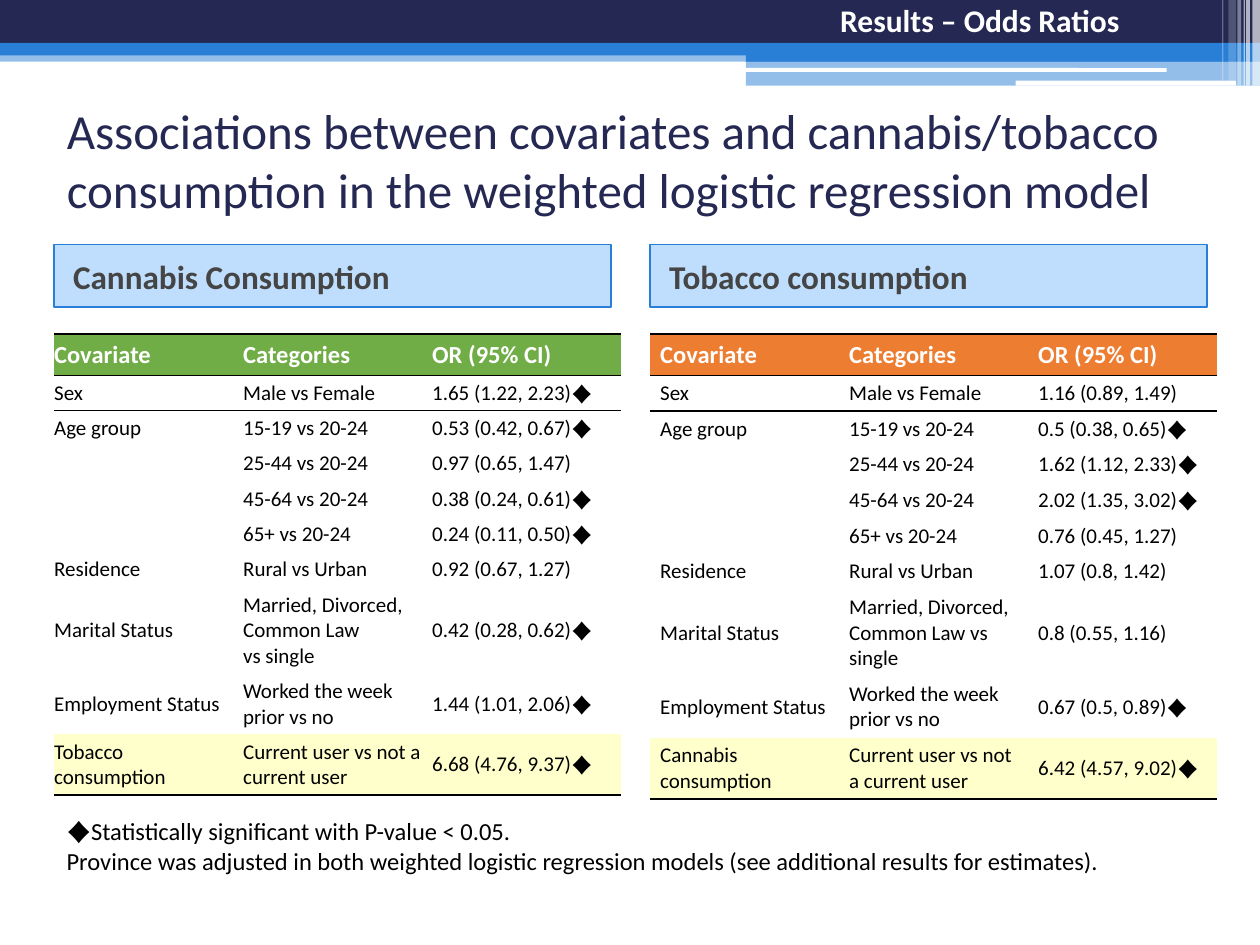
from lxml.etree import SubElement
from pptx import Presentation
from pptx.dml.color import RGBColor as RGB
from pptx.enum.shapes import MSO_SHAPE as SHAPE
from pptx.enum.text import MSO_ANCHOR as ANCHOR, MSO_AUTO_SIZE as AUTO, PP_ALIGN as ALIGN
from pptx.oxml.ns import qn
from pptx.util import Inches, Pt

THEME = {
    "font": "Calibri",
    "navy": "242852", "blue": "297FD5", "panel": "007FFE", "grey": "454545",
    "white": "FFFFFF", "black": "000000", "highlight": "FFFFCC",
    "green": "70AD47", "orange": "ED7D31",
    "title": 28, "panel_size": 19, "section": 18, "head": 14, "body": 12,
}
LEFT, PITCH = 0.43, 4.73  # first column of the slide grid, step to the second
PANEL_TOP, TABLE_TOP, NOTE_TOP = 1.94, 2.65, 6.43
COL_WIDTH = 1.5
ROW_HEIGHTS = [0.33] + [0.28] * 6 + [0.69, 0.48, 0.48]
NO_STYLE = "{2D5ABB26-0587-4C30-8999-92F81FD0307C}"
NBSP = chr(160)


def style(tf, size, color, bold=False):
    for p in tf.paragraphs:
        p.alignment = ALIGN.LEFT
        for r in p.runs:
            r.font.name, r.font.size, r.font.bold = THEME["font"], Pt(size), bold
            r.font.color.rgb = RGB.from_string(THEME[color])


def block(shape, x, y, w, h, color, alpha=100):
    """Add a borderless filled shape; alpha is the opacity in percent."""
    s = slide.shapes.add_shape(shape, Inches(x), Inches(y), Inches(w), Inches(h))
    s.shadow.inherit = False
    s.fill.solid()
    s.fill.fore_color.rgb = RGB.from_string(THEME[color])
    s.line.fill.background()
    if alpha < 100:
        clr = s._element.spPr.find(qn("a:solidFill"))[0]
        SubElement(clr, qn("a:alpha"), val=str(alpha * 1000))
    return s


prs = Presentation()
prs.slide_width, prs.slide_height = Inches(10), Inches(7.5)
slide = prs.slides.add_slide(prs.slide_layouts[5])

# Banner: bands, white rules and fading stripes at the right edge
for x, y, w, h, color, alpha in [
    (0, 0.4, 10, 0.09, "blue", 50),
    (0, 0, 10, 0.34, "navy", 100),
    (0, 0.34, 10, 0.1, "blue", 100),
    (5.92, 0.39, 4.08, 0.1, "blue", 100),
    (5.92, 0.48, 4.08, 0.2, "blue", 50),
]:
    block(SHAPE.RECTANGLE, x, y, w, h, color, alpha)
for x, y, w, h in [(5.91, 0.54, 3.35, 0.03), (8.06, 0.64, 1.75, 0.04)]:
    block(SHAPE.ROUNDED_RECTANGLE, x, y, w, h, "white")
for x, w, h, alpha in [
    (9.94, 0.06, 0.68, 65), (9.89, 0.03, 0.68, 65), (9.87, 0.01, 0.68, 60),
    (9.82, 0.03, 0.68, 40), (9.75, 0.06, 0.64, 20), (9.7, 0.01, 0.64, 30),
]:
    block(SHAPE.RECTANGLE, x, 0, w, h, "white", alpha)

# Title, brought in front of the banner
title = slide.shapes.title
title.left, title.top, title.width, title.height = map(Inches, (LEFT, 0.68, 9.17, 1.17))
tf = title.text_frame
tf.text = ("Associations between covariates and cannabis/tobacco consumption "
           "in the weighted logistic regression model")
tf.word_wrap, tf.auto_size, tf.vertical_anchor = True, AUTO.NONE, ANCHOR.MIDDLE
style(tf, THEME["title"], "navy")
slide.shapes._spTree.append(title._element)

# One panel heading and one table per substance
covariates = ["Sex", "Age group", "", "", "", "Residence", "Marital Status", "Employment Status"]
categories = ["Male vs Female", "15-19 vs 20-24", "25-44 vs 20-24", "45-64 vs 20-24",
              "65+ vs 20-24", "Rural vs Urban", "Married, Divorced, Common Law vs single",
              "Worked the week prior vs no", "Current user vs not a current user"]
models = [
    ("Cannabis Consumption", "green", "Tobacco\nconsumption", (0, 0), f"vs{NBSP}single",
     ["1.65 (1.22, 2.23)♦", "0.53 (0.42, 0.67)♦", "0.97 (0.65, 1.47)",
      "0.38 (0.24, 0.61)♦", "0.24 (0.11, 0.50)♦", "0.92 (0.67, 1.27)",
      "0.42 (0.28, 0.62)♦", "1.44 (1.01, 2.06)♦", "6.68 (4.76, 9.37)♦"]),
    ("Tobacco consumption", "orange", "Cannabis consumption", (0.08, 0.04), "vs single",
     ["1.16 (0.89, 1.49)", "0.5 (0.38, 0.65)♦", "1.62 (1.12, 2.33)♦",
      "2.02 (1.35, 3.02)♦", "0.76 (0.45, 1.27)", "1.07 (0.8, 1.42)",
      "0.8 (0.55, 1.16)", "0.67 (0.5, 0.89)♦", "6.42 (4.57, 9.02)♦"]),
]
last = len(ROW_HEIGHTS) - 1
for i, (heading, accent, other, (pad_x, pad_y), single, ratios) in enumerate(models):
    x = LEFT + i * PITCH
    panel = block(SHAPE.RECTANGLE, x, PANEL_TOP, 4.42, 0.5, "panel", 25)
    panel.line.color.rgb = RGB.from_string(THEME["blue"])
    panel.line.width = Pt(1)
    tf = panel.text_frame
    tf.text = heading
    tf.margin_left, tf.vertical_anchor = Inches(0.15), ANCHOR.MIDDLE
    tf.paragraphs[0].space_before = Pt(3)
    style(tf, THEME["panel_size"], "grey", True)

    rows = [("Covariate", "Categories", "OR (95% CI)")]
    rows += zip(covariates + [other],
                [c.replace("vs single", single) for c in categories], ratios)
    frame = slide.shapes.add_table(len(rows), 3, Inches(x), Inches(TABLE_TOP),
                                   Inches(3 * COL_WIDTH), Inches(sum(ROW_HEIGHTS)))
    table = frame.table
    table.horz_banding = False
    table._tbl.tblPr.find(qn("a:tableStyleId")).text = NO_STYLE
    for col in table.columns:
        col.width = Inches(COL_WIDTH)
    for n, row in enumerate(rows):
        table.rows[n].height = Inches(ROW_HEIGHTS[n])
        head = n == 0
        size = THEME["head" if head else "body"]
        for cell, text in zip(table.rows[n].cells, row):
            cell.margin_left = cell.margin_right = Inches(pad_x)
            cell.margin_top = cell.margin_bottom = Inches(pad_y)
            cell.vertical_anchor = ANCHOR.MIDDLE
            cell.text = text
            style(cell.text_frame, size, "white" if head else "black", head)
            if not text:  # keeps an empty cell from stretching its row
                SubElement(cell.text_frame.paragraphs[0]._p, qn("a:endParaRPr"), sz=str(size * 100))
            tcPr = cell._tc.get_or_add_tcPr()
            for side, shown in (("a:lnT", n < 2), ("a:lnB", n in (0, last))):
                if shown:
                    ln = SubElement(tcPr, qn(side), w=str(Pt(1)))
                    fill = SubElement(ln, qn("a:solidFill"))
                    SubElement(fill, qn("a:srgbClr"), val=THEME["black"])
            if n in (0, last):
                cell.fill.solid()
                cell.fill.fore_color.rgb = RGB.from_string(THEME[accent if head else "highlight"])
            else:
                cell.fill.background()

# Section label in the banner
s = slide.shapes.add_textbox(Inches(6.57), Inches(-0.04), Inches(2.65), Inches(0.4))
tf = s.text_frame
tf.text = "Results – Odds Ratios"
tf.word_wrap = False
style(tf, THEME["section"], "white", True)

# Footnotes
s = slide.shapes.add_textbox(Inches(LEFT), Inches(NOTE_TOP), Inches(8.66), Inches(0.57))
tf = s.text_frame
tf.word_wrap = True
tf.text = ("Statistically significant with P-value < 0.05.\n"
           "Province was adjusted in both weighted logistic regression models "
           "(see additional results for estimates).")
style(tf, THEME["head"], "black")
pPr = tf.paragraphs[0]._p.get_or_add_pPr()
pPr.set("marL", str(Inches(0.19)))
pPr.set("indent", str(-Inches(0.19)))
SubElement(pPr, qn("a:buFont"), typeface=THEME["font"])
SubElement(pPr, qn("a:buChar"), char="♦")

prs.save("out.pptx")
